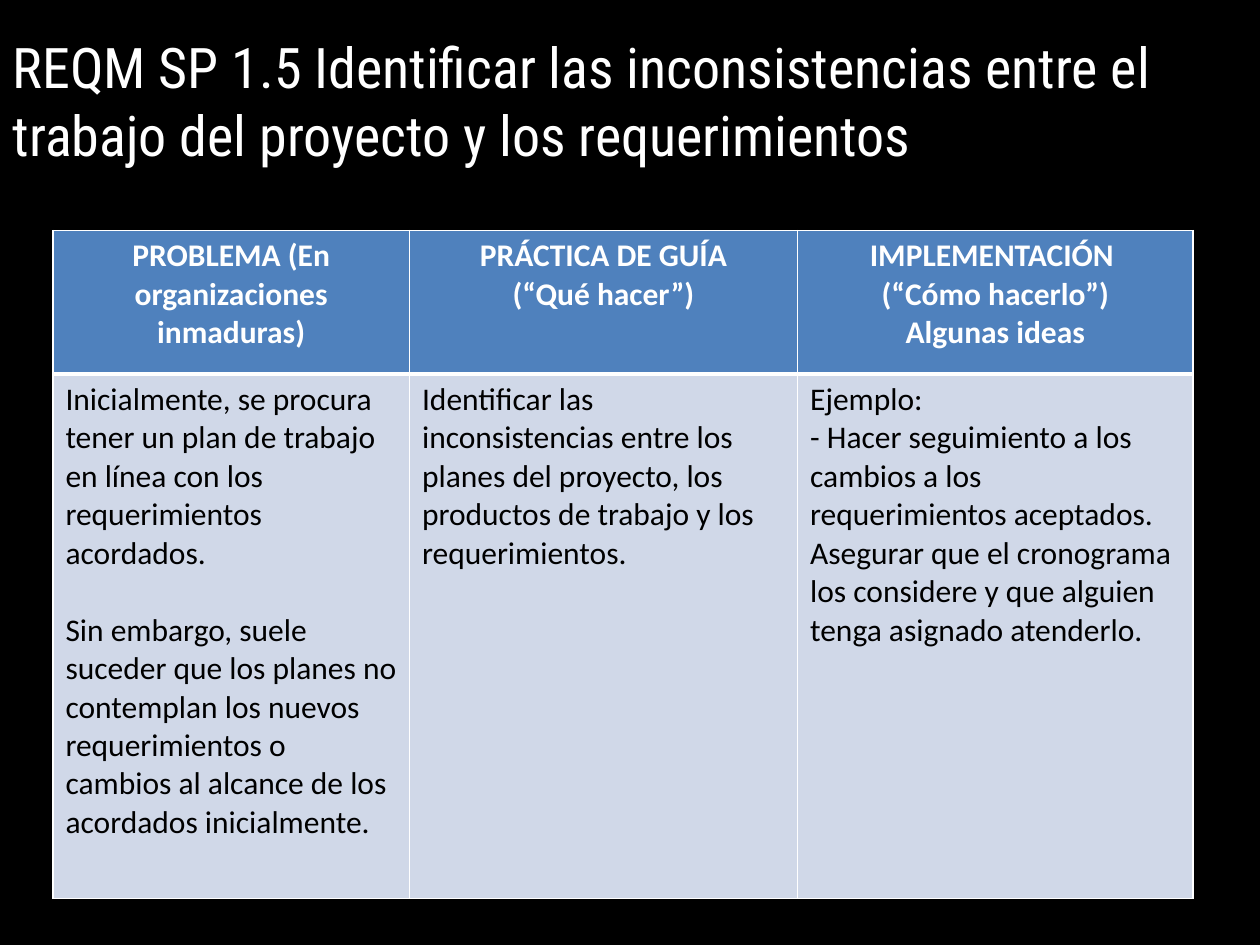
from dataclasses import dataclass

from lxml import etree
from pptx import Presentation
from pptx import util as u
from pptx.dml.color import RGBColor
from pptx.enum import text
from pptx.oxml import ns


@dataclass(frozen=True)
class Theme:
    background: str = "000000"
    light: str = "FFFFFF"
    dark: str = "000000"
    header_fill: str = "4F81BD"
    body_fill: str = "D0D8E8"
    title_font: str = "Roboto Condensed"
    table_font: str = "Calibri"
    title_size: int = 32
    table_size: int = 18
    thin_line: int = 1
    thick_line: int = 3


@dataclass(frozen=True)
class Column:
    width: float
    heading: tuple[str, ...]
    body: tuple[str, ...]
    body_gap: int = 0  # points between body paragraphs


THEME = Theme()
SLIDE_WIDTH, SLIDE_HEIGHT = u.Inches(10), u.Inches(7.5)
ROW_HEIGHTS = (1.14, 4.16)

TITLE = ("REQM SP 1.5 Identificar las inconsistencias entre el "
         "trabajo del proyecto y los requerimientos")
COLUMNS = (
    Column(2.83, ("PROBLEMA (En organizaciones inmaduras)",),
           ("Inicialmente, se procura tener un plan de trabajo en línea con los "
            "requerimientos acordados.",
            "Sin embargo, suele suceder que los planes no contemplan los nuevos "
            "requerimientos o cambios al alcance de los acordados inicialmente."),
           body_gap=22),
    Column(3.08, ("PRÁCTICA DE GUÍA", "(“Qué hacer”)"),
           ("Identificar las inconsistencias entre los planes del proyecto, los "
            "productos de trabajo y los requerimientos.",)),
    Column(3.14, ("IMPLEMENTACIÓN ", "(“Cómo hacerlo”)", "Algunas ideas"),
           ("Ejemplo:",
            "- Hacer seguimiento a los cambios a los requerimientos aceptados. "
            "Asegurar que el cronograma los considere y que alguien tenga "
            "asignado atenderlo.")),
)


def add_span(para, words: str, font: str, size: int, color: str, bold: bool = False) -> None:
    span = para.add_run()
    span.text = words
    span.font.name, span.font.size, span.font.bold = font, u.Pt(size), bold
    span.font.color.rgb = RGBColor.from_string(color)


def set_borders(cell, top: int, bottom: int) -> None:
    properties = cell._tc.get_or_add_tcPr()
    widths = {"lnL": THEME.thin_line, "lnR": THEME.thin_line, "lnT": top, "lnB": bottom}
    for index, (side, width) in enumerate(widths.items()):
        line = etree.Element(ns.qn(f"a:{side}"), w=str(u.Pt(width)))
        fill = etree.SubElement(line, ns.qn("a:solidFill"))
        etree.SubElement(fill, ns.qn("a:srgbClr"), val=THEME.light)
        properties.insert(index, line)


def fill_cell(cell, paragraphs: tuple[str, ...], header: bool, gap: int = 0) -> None:
    cell.fill.solid()
    cell.fill.fore_color.rgb = RGBColor.from_string(
        THEME.header_fill if header else THEME.body_fill)
    frame = cell.text_frame
    for index, words in enumerate(paragraphs):
        para = frame.add_paragraph() if index else frame.paragraphs[0]
        para.alignment = text.PP_ALIGN.CENTER if header else text.PP_ALIGN.LEFT
        if index and gap:
            para.space_before = u.Pt(gap)
        add_span(para, words, THEME.table_font, THEME.table_size,
                 THEME.light if header else THEME.dark, bold=header)
    # The thick rule separates the header from the body
    if header:
        set_borders(cell, THEME.thin_line, THEME.thick_line)
    else:
        set_borders(cell, THEME.thick_line, THEME.thin_line)


def add_title(page) -> None:
    box = page.shapes.title
    box.left, box.top = 0, u.Inches(0.17)
    box.width, box.height = u.Inches(9.58), u.Inches(1.25)
    frame = box.text_frame
    frame.word_wrap = True
    frame.auto_size = text.MSO_AUTO_SIZE.NONE
    frame.vertical_anchor = text.MSO_ANCHOR.MIDDLE
    para = frame.paragraphs[0]
    para.alignment = text.PP_ALIGN.LEFT
    add_span(para, TITLE, THEME.title_font, THEME.title_size, THEME.light)


def add_practice_table(page) -> None:
    table = page.shapes.add_table(
        len(ROW_HEIGHTS), len(COLUMNS), u.Inches(0.42), u.Inches(1.83),
        u.Inches(sum(column.width for column in COLUMNS)),
        u.Inches(sum(ROW_HEIGHTS))).table
    for row, height in zip(table.rows, ROW_HEIGHTS):
        row.height = u.Inches(height)
    for index, column in enumerate(COLUMNS):
        table.columns[index].width = u.Inches(column.width)
        fill_cell(table.cell(0, index), column.heading, header=True)
        fill_cell(table.cell(1, index), column.body, header=False, gap=column.body_gap)


def main() -> None:
    deck = Presentation()
    deck.slide_width, deck.slide_height = SLIDE_WIDTH, SLIDE_HEIGHT
    page = deck.slides.add_slide(deck.slide_layouts.get_by_name("Title Only"))
    page.background.fill.solid()
    page.background.fill.fore_color.rgb = RGBColor.from_string(THEME.background)
    add_title(page)
    add_practice_table(page)
    deck.save("out.pptx")


if __name__ == "__main__":
    main()
